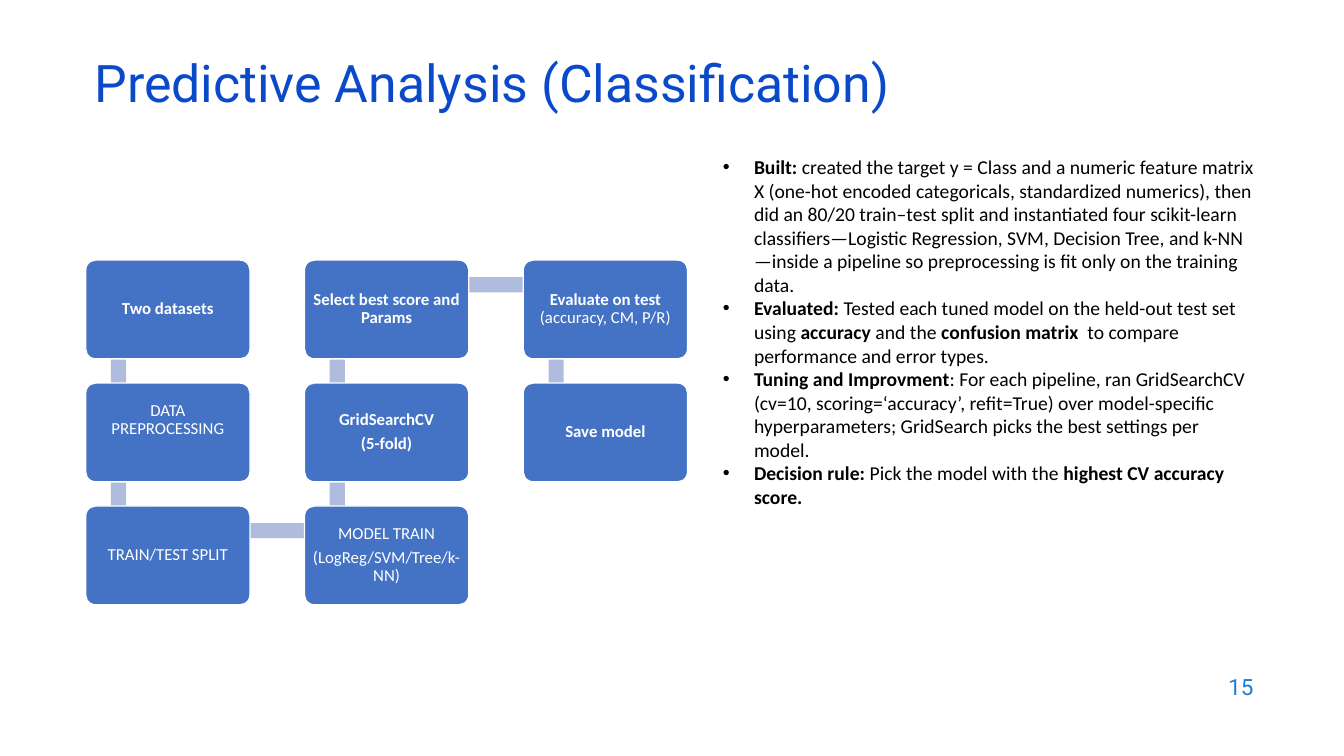
import pptx
import pptx.dml.color
import pptx.enum.shapes
import pptx.enum.text
import pptx.oxml.ns
import pptx.util
import lxml.etree

ALIGN = pptx.enum.text.PP_ALIGN
ANCHOR = pptx.enum.text.MSO_ANCHOR
SHAPE = pptx.enum.shapes.MSO_SHAPE


def px(n):
    """One px is a hundredth of an inch."""
    return pptx.util.Emu(n * 9144)


def tint(code):
    return pptx.dml.color.RGBColor.from_string(code)


class Deck:
    body, head = "Calibri", "Roboto"
    blue, pale, white, black = "4472C4", "B0BCDE", "FFFFFF", "000000"

    def __init__(self, wide, high):
        self.deck = pptx.Presentation()
        self.deck.slide_width, self.deck.slide_height = px(wide), px(high)
        self.slide = self.deck.slides.add_slide(self.deck.slide_layouts[6])

    def fill_text(self, frame, paras, size, font, color, align=ALIGN.LEFT,
                  lines=None, after=None, dot=False):
        """Each paragraph is a list of (text, bold) runs."""
        frame.word_wrap = True
        for i, runs in enumerate(paras):
            para = frame.add_paragraph() if i else frame.paragraphs[0]
            para.alignment = align
            if lines:
                para.line_spacing = lines
            if after:
                para.space_after = pptx.util.Pt(after)
            if dot:
                self.dot(para)
            for text, bold in runs:
                run = para.add_run()
                run.text = text
                run.font.size = pptx.util.Pt(size)
                run.font.name = font
                run.font.bold = bold
                run.font.color.rgb = tint(color)

    def dot(self, para):
        props = para._p.get_or_add_pPr()
        props.set("marL", str(px(31)))
        props.set("indent", str(px(-31)))
        for tag, key, value in (("a:buFont", "typeface", "Arial"),
                                ("a:buChar", "char", "•")):
            mark = lxml.etree.SubElement(props, pptx.oxml.ns.qn(tag))
            mark.set(key, value)

    def text(self, x, y, w, h, paras, size, font, color,
             anchor=ANCHOR.MIDDLE, **style):
        frame = self.slide.shapes.add_textbox(
            px(x), px(y), px(w), px(h)).text_frame
        frame.vertical_anchor = anchor
        self.fill_text(frame, paras, size, font, color, **style)

    def shape(self, kind, x, y, w, h, fill):
        shape = self.slide.shapes.add_shape(kind, px(x), px(y), px(w), px(h))
        shape.shadow.inherit = False
        shape.fill.solid()
        shape.fill.fore_color.rgb = tint(fill)
        shape.line.fill.background()
        return shape

    def bar(self, x, y, w, h, turn=0):
        self.shape(SHAPE.RECTANGLE, x, y, w, h, self.pale).rotation = turn

    def box(self, x, y, w, h, paras, foot=5):
        box = self.shape(SHAPE.ROUNDED_RECTANGLE, x, y, w, h, self.blue)
        box.adjustments[0] = 0.1
        box.line.color.rgb = tint(self.white)
        box.line.width = pptx.util.Pt(1)
        frame = box.text_frame
        frame.vertical_anchor = ANCHOR.MIDDLE
        frame.margin_left = frame.margin_right = frame.margin_top = px(5)
        frame.margin_bottom = px(foot)
        self.fill_text(frame, paras, 12, self.body, self.white,
                       ALIGN.CENTER, lines=0.9, after=4.2)


# Steps in flow order: column, row, text, bottom inset
STEPS = [
    (0, 0, [[("Two datasets", True)]], 5),
    (0, 1, [[("DATA PREPROCESSING", False)]], 29),
    (0, 2, [[("TRAIN/TEST SPLIT", False)]], 5),
    (1, 2, [[("MODEL TRAIN", False)], [("(LogReg/SVM/Tree/k-NN)", False)]], 5),
    (1, 1, [[("GridSearchCV", True)], [("(5-fold)", True)]], 5),
    (1, 0, [[("Select best score and Params", True)]], 5),
    (2, 0, [[("Evaluate on test", True), (" (accuracy, CM, P/R)", False)]], 5),
    (2, 1, [[("Save model", True)]], 5),
]

NOTES = [
    [("Built:", True),
     (" created the target y = Class and a numeric feature matrix X (one-hot "
      "encoded categoricals, standardized numerics), then did an 80/20 "
      "train–test split and instantiated four scikit-learn "
      "classifiers—Logistic Regression, SVM, Decision Tree, and k-NN—inside "
      "a pipeline so preprocessing is fit only on the training data.", False)],
    [("Evaluated:", True),
     (" Tested each tuned model on the held-out test set using ", False),
     ("accuracy", True), (" and the ", False), ("confusion matrix", True),
     ("  to compare performance and error types.", False)],
    [("Tuning and Improvment", True),
     (": For each pipeline, ran GridSearchCV (cv=10, scoring=‘accuracy’, "
      "refit=True) over model-specific hyperparameters; GridSearch picks the "
      "best settings per model.", False)],
    [("Decision rule:", True), (" Pick the model with the ", False),
     ("highest CV accuracy score.", True)],
]

LEFT, TOP, WIDE, HIGH = 85, 258, 163, 98
STEP_X, STEP_Y = 217, 122
THICK = 15


def main():
    deck = Deck(1333, 750)

    # Page number and title
    deck.text(953, 659, 300, 44, [[("15", False)]], 16, deck.head, "1C7DDB",
              align=ALIGN.RIGHT)
    deck.text(84, 59, 1150, 60,
              [[("Predictive Analysis (Classification)", False)]],
              37, deck.head, "0B49CB", lines=0.7)

    # Flow: each box lies over the bar that leads to the next one
    for i, (col, row, paras, foot) in enumerate(STEPS):
        x, y = LEFT + col * STEP_X, TOP + row * STEP_Y
        if i + 1 < len(STEPS):
            next_col, next_row = STEPS[i + 1][:2]
            if next_col > col:
                deck.bar(x + 33, y + 17, STEP_X - 1, THICK)
            else:
                high_y = TOP + min(row, next_row) * STEP_Y
                deck.bar(x - 28, high_y + 78, STEP_Y - 1, THICK,
                         90 if next_row > row else 270)
        deck.box(x, y, WIDE, HIGH, paras, foot)

    # Notes on the right
    deck.text(707, 149, 552, 552, NOTES, 14, deck.body, deck.black,
              anchor=ANCHOR.TOP, dot=True)

    deck.deck.save("out.pptx")


if __name__ == "__main__":
    main()
